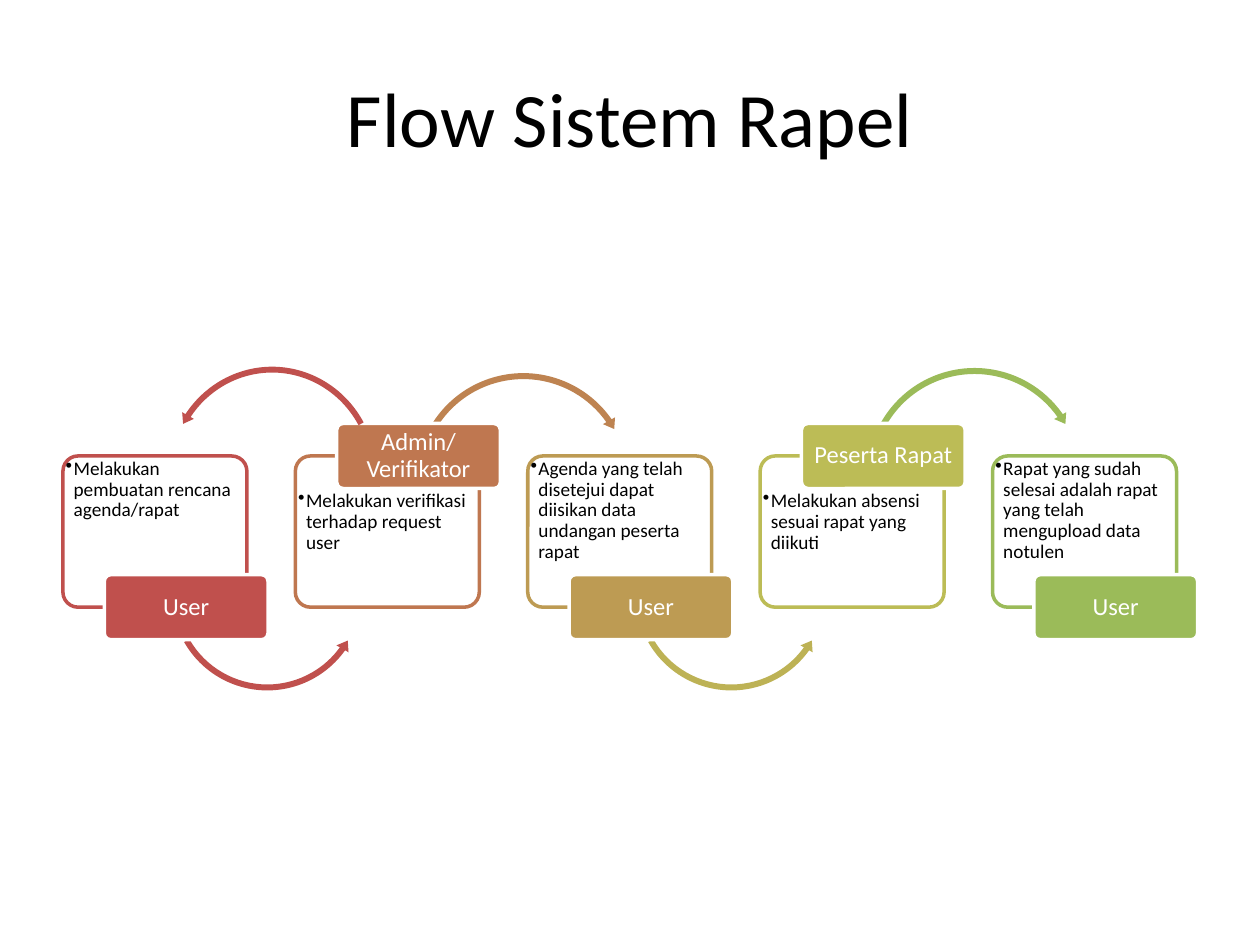
from typing import NamedTuple, Optional

from lxml import etree
from pptx import Presentation
from pptx.dml.color import RGBColor
from pptx.enum.shapes import MSO_SHAPE
from pptx.enum.text import MSO_ANCHOR, PP_ALIGN
from pptx.oxml.ns import qn
from pptx.util import Pt

ROUNDED = MSO_SHAPE.ROUNDED_RECTANGLE
OVER_ARC = MSO_SHAPE.CIRCULAR_ARROW
UNDER_ARC = MSO_SHAPE.LEFT_CIRCULAR_ARROW
MIDDLE, TOP = MSO_ANCHOR.MIDDLE, MSO_ANCHOR.TOP
CENTER, LEFT = PP_ALIGN.CENTER, PP_ALIGN.LEFT

FONT, BLACK, WHITE = "Calibri", "000000", "FFFFFF"
RED, RUST, TAN, OLIVE, GREEN = "C0504D", "BF7750", "BD9B53", "BCBC56", "9BBB59"
FIRST_LEFT, STEP = 36, 132.8
CARD_TOP, CARD_WIDTH, CARD_HEIGHT = 260.6, 105.1, 86.4
TEXT_HEIGHT, HIGH_LABEL_DROP = 68.2, 18.5
LABEL_SHIFT, LABEL_WIDTH, LABEL_HEIGHT = 23.6, 93.6, 37.2
OVER_ADJUST = (0.027, 3.23, 195.015, 125.755, 0.031)
UNDER_ADJUST = (0.03, 3.637, 21.392, 90.245, 0.035)


class Arc(NamedTuple):
    left: float
    top: float
    width: float
    height: float
    color: str
    over: bool = True
    flipped: bool = False


class Step(NamedTuple):
    actor: str
    task: str
    color: str
    label_on_top: bool
    arc: Optional[Arc] = None


STEPS = [
    Step("User", "Melakukan pembuatan rencana agenda/rapat", RED, False,
         Arc(95.8, 283, 113.8, 113.8, RED, over=False)),
    Step("Admin/ Verifikator", "Melakukan verifikasi terhadap request user", RUST, True,
         Arc(235.4, 211, 127.4, 127.4, "BE8351")),
    Step("User", "Agenda yang telah disetejui dapat diisikan data undangan peserta rapat",
         TAN, False, Arc(361, 283, 113.8, 113.8, "BDB255", over=False)),
    Step("Peserta Rapat", "Melakukan absensi sesuai rapat yang diikuti", OLIVE, True,
         Arc(493.2, 208.1, 127.4, 127.4, GREEN)),
    Step("User", "Rapat yang sudah selesai adalah rapat yang telah mengupload data notulen",
         GREEN, False),
]
RETURN_ARC = Arc(93.6, 207.4, 123.8, 127.4, RED, flipped=True)


def rgb(color: str) -> RGBColor:
    return RGBColor.from_string(color)


def write(shape, text: str, size: float, color: str, align, anchor,
          inset: float, spacing: float = 0.9):
    """Fill a text frame with one formatted paragraph."""
    frame = shape.text_frame
    settings = {"word_wrap": True, "vertical_anchor": anchor}
    for side in ("left", "top", "right", "bottom"):
        settings[f"margin_{side}"] = Pt(inset)
    for name, value in settings.items():
        setattr(frame, name, value)
    para = frame.paragraphs[0]
    para.alignment, para.line_spacing = align, spacing
    span = para.add_run()
    span.text = text
    for name, value in {"name": FONT, "size": Pt(size)}.items():
        setattr(span.font, name, value)
    span.font.color.rgb = rgb(color)
    return para


def add_bullet(para, indent: float) -> None:
    properties = para._p.get_or_add_pPr()
    properties.set("marL", str(Pt(indent)))
    properties.set("indent", str(-Pt(indent)))
    etree.SubElement(properties, qn("a:buChar"), char="•")


def add_panel(page, left: float, top: float, width: float, height: float,
              fill: str, line: str):
    panel = page.shapes.add_shape(ROUNDED, Pt(left), Pt(top), Pt(width), Pt(height))
    panel.adjustments[0] = 0.1
    panel.shadow.inherit = False
    panel.fill.solid()
    panel.fill.fore_color.rgb = rgb(fill)
    panel.line.color.rgb = rgb(line)
    panel.line.width = Pt(2)
    return panel


def add_arc(page, arc: Arc) -> None:
    kind, adjust = (OVER_ARC, OVER_ADJUST) if arc.over else (UNDER_ARC, UNDER_ADJUST)
    arrow = page.shapes.add_shape(kind, Pt(arc.left), Pt(arc.top),
                                  Pt(arc.width), Pt(arc.height))
    for index, value in enumerate(adjust):
        arrow.adjustments[index] = value
    arrow.shadow.inherit = False
    arrow.fill.solid()
    arrow.fill.fore_color.rgb = rgb(arc.color)
    arrow.line.fill.background()
    if arc.flipped:
        arrow._element.spPr.find(qn("a:xfrm")).set("flipH", "1")


def add_step(page, step: Step, left: float) -> None:
    # Outlined card, slightly transparent
    card = add_panel(page, left, CARD_TOP, CARD_WIDTH, CARD_HEIGHT, WHITE, step.color)
    white = card._element.spPr.find(qn("a:solidFill"))[0]
    etree.SubElement(white, qn("a:alpha"), val="90000")

    # Task text, below the label when that sits on top
    text_top = CARD_TOP + (HIGH_LABEL_DROP if step.label_on_top else 0)
    box = page.shapes.add_textbox(Pt(left), Pt(text_top), Pt(CARD_WIDTH), Pt(TEXT_HEIGHT))
    add_bullet(write(box, step.task, 11, BLACK, LEFT, TOP, 1.6), 4.5)

    if step.arc:
        add_arc(page, step.arc)

    # Actor label, centred on the top or bottom edge of the card
    edge = CARD_TOP + (0 if step.label_on_top else CARD_HEIGHT)
    label = add_panel(page, left + LABEL_SHIFT, edge - LABEL_HEIGHT / 2,
                      LABEL_WIDTH, LABEL_HEIGHT, step.color, WHITE)
    write(label, step.actor, 14, WHITE, CENTER, MIDDLE, 1)


deck = Presentation()
deck.slide_width, deck.slide_height = Pt(720), Pt(540)
page = deck.slides.add_slide(deck.slide_layouts[5])

# Title
title = page.shapes.title
for name, value in {"left": 36, "top": 21.6, "width": 648, "height": 90}.items():
    setattr(title, name, Pt(value))
write(title, "Flow Sistem Rapel", 44, BLACK, CENTER, MIDDLE, 3.6, 1.0)

# Process steps
for index, step in enumerate(STEPS):
    add_step(page, step, FIRST_LEFT + index * STEP)
add_arc(page, RETURN_ARC)

deck.save("out.pptx")
